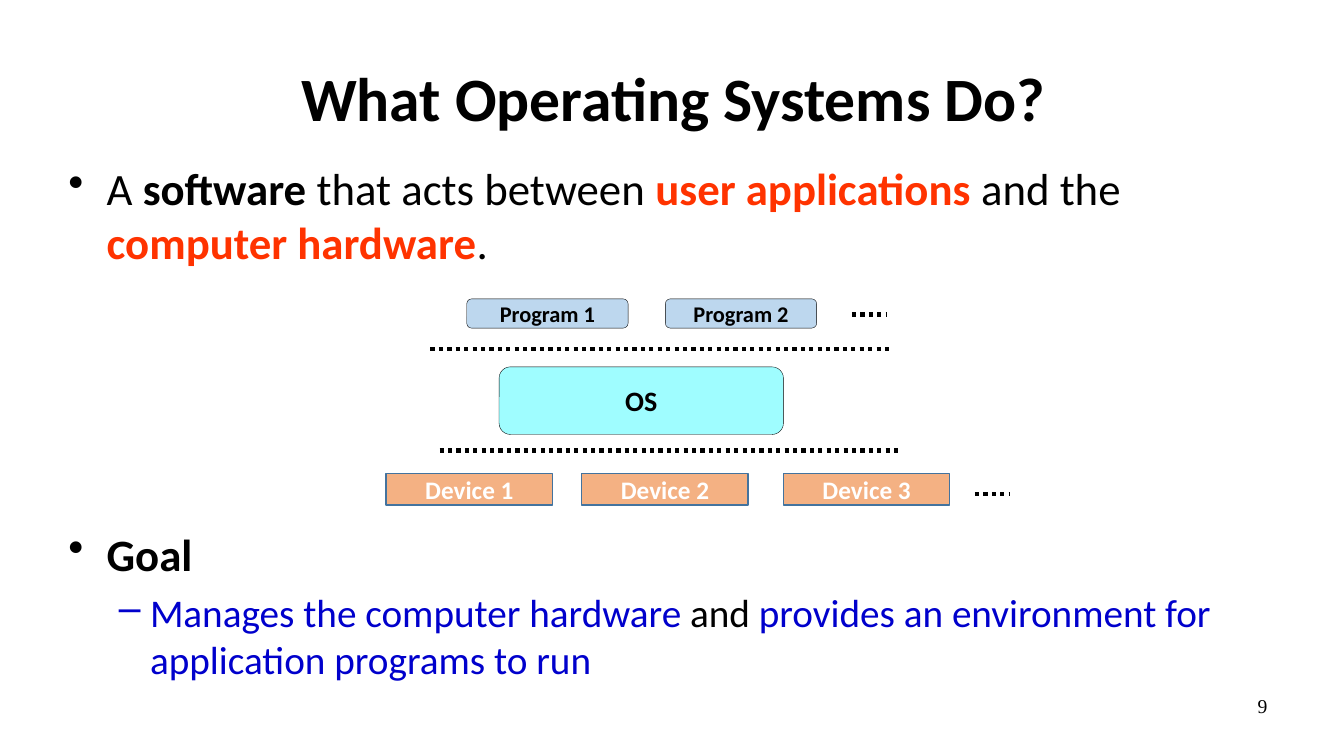
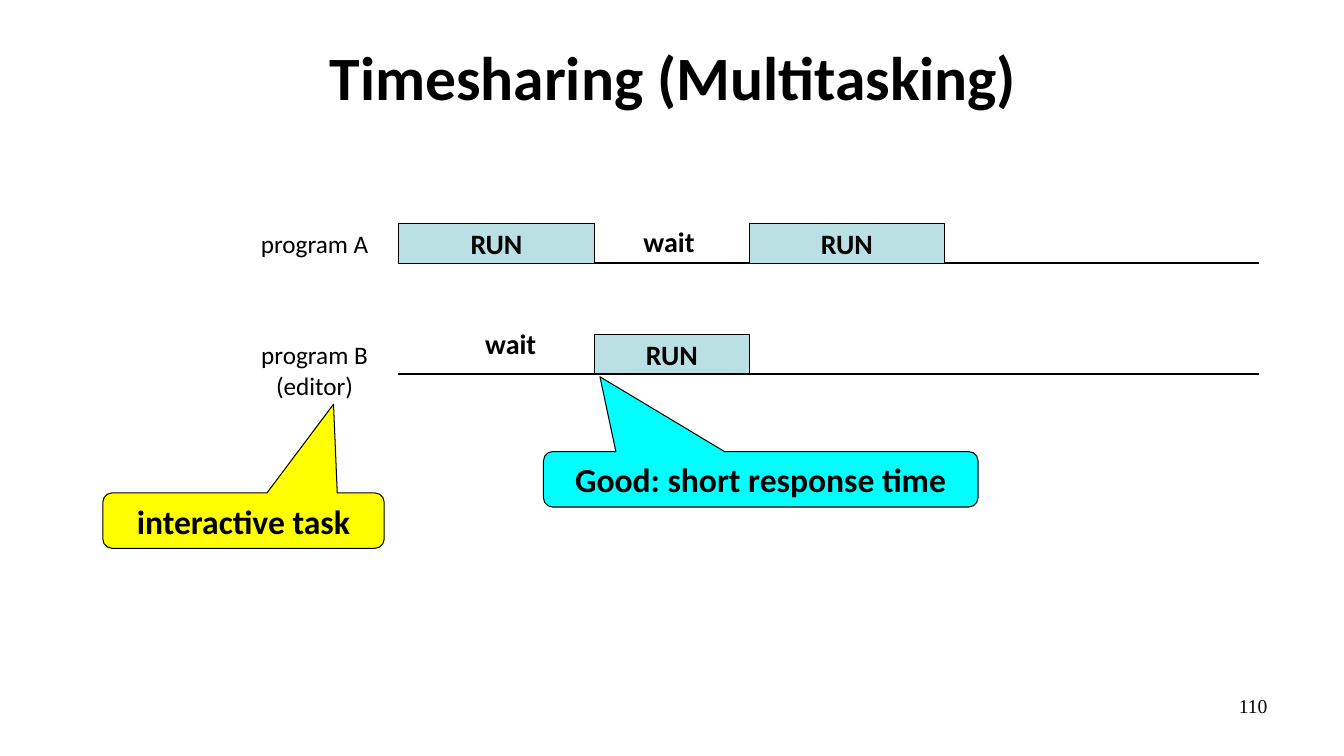
from typing import NamedTuple

from lxml.etree import SubElement
from pptx import Presentation
from pptx.dml.color import RGBColor
from pptx.enum.dml import MSO_LINE as Dash
from pptx.enum.shapes import MSO_CONNECTOR as Conn, MSO_SHAPE as Kind
from pptx.enum.text import MSO_ANCHOR as Anchor, MSO_AUTO_SIZE as Fit, PP_ALIGN as Align
from pptx.oxml.ns import qn
from pptx.shapes.base import BaseShape
from pptx.slide import Slide
from pptx.text.text import TextFrame
from pptx.util import Inches, Length, Pt

BLACK = RGBColor(0, 0, 0)
WHITE = RGBColor(255, 255, 255)
RED = RGBColor(0xFF, 0x33, 0x00)
BLUE = RGBColor(0x00, 0x00, 0xCC)
SKY = RGBColor(0xBD, 0xD7, 0xEE)
AQUA = RGBColor(0x9F, 0xFD, 0xFF)
PEACH = RGBColor(0xF4, 0xB1, 0x83)
STEEL = RGBColor(0x43, 0x73, 0x9E)
TEAL = RGBColor(0xBB, 0xE0, 0xE3)
YELLOW = RGBColor(255, 255, 0)
CYAN = RGBColor(0, 255, 255)

SANS = "Calibri"
SERIF = "Times New Roman"


class Box(NamedTuple):
    """A place on the grid, whose cells are a tenth of an inch."""
    col: float
    row: float
    wide: float
    high: float


class Look(NamedTuple):
    size: float
    color: RGBColor = BLACK
    bold: bool = True
    font: str = SANS
    align: Align = Align.CENTER


class Skin(NamedTuple):
    kind: Kind
    fill: RGBColor
    edge: RGBColor
    width: float
    look: Look


class Span(NamedTuple):
    text: str
    color: RGBColor = BLACK
    bold: bool = False


class Item(NamedTuple):
    spans: list[Span]
    size: int
    mark: str
    left: float
    hang: float
    level: int = 0
    before: int = 0


class Lane(NamedTuple):
    row: float
    runs: list[tuple[int, int]]


TITLE = Box(6.8, 1.3, 120, 12.5)
BODY = Box(5.8, 15.5, 120, 52)
NUMBER = Box(95.6, 68.3, 31.1, 5.2)

HEAD = Look(44)
FOOT = Look(14, bold=False, font=SERIF, align=Align.RIGHT)
NAME = Look(18, bold=False)
WAIT = Look(20)

PROGRAM = Skin(Kind.ROUNDED_RECTANGLE, SKY, BLACK, 0.25, Look(16))
SYSTEM = Skin(Kind.ROUNDED_RECTANGLE, AQUA, BLACK, 0.25, Look(20))
DEVICE = Skin(Kind.RECTANGLE, PEACH, STEEL, 1, Look(18, WHITE))
RUN = Skin(Kind.RECTANGLE, TEAL, BLACK, 0.75, Look(20))
TASK = Skin(Kind.ROUNDED_RECTANGULAR_CALLOUT, YELLOW, BLACK, 0.75, Look(24))
GOOD = TASK._replace(fill=CYAN)

ITEMS = [
    Item([Span("A "), Span("software", bold=True), Span(" that acts between "),
          Span("user applications", RED, True), Span(" and the "),
          Span("computer hardware", RED, True), Span(".")], 32, "•", 3.8, 3.8),
    Item([Span("Goal", bold=True)], 32, "•", 3.8, 3.8, before=184),
    Item([Span("Manages the computer hardware ", BLUE), Span("and "),
          Span("provides an environment for application programs to run", BLUE)],
         28, "–", 8.1, 3.1, level=1, before=6),
]

# Columns where the processor switches from one program to the other
TIMES = (39.5, 59, 74.3, 93.7)
END = 124.9
BAR = 3.9
LANES = [Lane(26.1, [(0, 1), (2, 3)]), Lane(37.1, [(1, 2)])]


def grid(cells: float) -> Length:
    return Inches(cells / 10)


def place(box: Box) -> list[Length]:
    return [grid(n) for n in box]


def style(frame: TextFrame, look: Look) -> None:
    for para in frame.paragraphs:
        para.alignment = look.align
        for run in para.runs:
            font = run.font
            font.name, font.size, font.bold = look.font, Pt(look.size), look.bold
            font.color.rgb = look.color


def label(slide: Slide, box: Box, text: str, look: Look, wrap: bool = False) -> None:
    frame = slide.shapes.add_textbox(*place(box)).text_frame
    frame.word_wrap = wrap
    frame.text = text
    style(frame, look)


def block(slide: Slide, box: Box, text: str, skin: Skin) -> BaseShape:
    shape = slide.shapes.add_shape(skin.kind, *place(box))
    shape.shadow.inherit = False
    shape.fill.solid()
    shape.fill.fore_color.rgb = skin.fill
    shape.line.color.rgb = skin.edge
    shape.line.width = Pt(skin.width)
    frame = shape.text_frame
    frame.vertical_anchor = Anchor.MIDDLE
    frame.text = text
    style(frame, skin.look)
    return shape


def callout(slide: Slide, box: Box, text: str, skin: Skin, tip: tuple[float, float]) -> None:
    """Draw a balloon whose tip is given in shares of its size from its centre."""
    shape = block(slide, box, text, skin)
    for i, share in enumerate(tip):
        shape.adjustments[i] = share


def rule(slide: Slide, row: float, start: float, end: float, dots: bool = False) -> None:
    """Draw a level line, thin and solid or thick and dotted."""
    ends = [grid(n) for n in (start, row, end, row)]
    line = slide.shapes.add_connector(Conn.STRAIGHT, *ends)
    line.line.color.rgb = BLACK
    line.line.width = Pt(3 if dots else 1)
    if dots:
        line.line.dash_style = Dash.ROUND_DOT
    SubElement(line._element.spPr, qn("a:effectLst"))


def bullets(slide: Slide, box: Box, items: list[Item]) -> None:
    frame = slide.shapes.add_textbox(*place(box)).text_frame
    frame.word_wrap = True
    for i, item in enumerate(items):
        para = frame.add_paragraph() if i else frame.paragraphs[0]
        para.level = item.level
        props = para._p.get_or_add_pPr()
        props.set("marL", str(grid(item.left)))
        props.set("indent", str(-grid(item.hang)))
        SubElement(props, qn("a:buChar"), char=item.mark)
        para.space_before = Pt(item.before)
        para.font.size = Pt(item.size)
        for span in item.spans:
            run = para.add_run()
            run.text = span.text
            font = run.font
            font.name, font.size, font.bold = SANS, Pt(item.size), span.bold
            font.color.rgb = span.color


def start(deck: Presentation, title: str, number: int, anchor: Anchor) -> Slide:
    """Add a slide with its title and number."""
    slide = deck.slides.add_slide(deck.slide_layouts.get_by_name("Title Only"))
    head = slide.shapes.title
    head.left, head.top, head.width, head.height = place(TITLE)
    frame = head.text_frame
    frame.text = title
    frame.auto_size = Fit.NONE
    frame.vertical_anchor = anchor
    style(frame, HEAD)
    label(slide, NUMBER, str(number), FOOT, wrap=True)
    return slide


def layers(deck: Presentation) -> None:
    slide = start(deck, "What Operating Systems Do?", 9, Anchor.BOTTOM)
    bullets(slide, BODY, ITEMS)
    for row, left, right in ((34.6, 42.7, 88.6), (31.2, 84.5, 88),
                             (44.7, 43.6, 89.5), (49, 96.7, 100.1)):
        rule(slide, row, left, right, dots=True)
    for i, (col, wide) in enumerate(((46.3, 16), (66, 15)), 1):
        block(slide, Box(col, 29.65, wide, 2.9), f"Program {i}", PROGRAM)
    block(slide, Box(49.5, 36.4, 28.2, 6.7), "OS", SYSTEM)
    for i, col in enumerate((38.3, 57.7, 77.7), 1):
        block(slide, Box(col, 47, 16.5, 3.1), f"Device {i}", DEVICE)


def sharing(deck: Presentation) -> None:
    slide = start(deck, "Timesharing (Multitasking)", 110, Anchor.MIDDLE)
    for lane in LANES:
        rule(slide, lane.row, TIMES[0], END)
        for a, b in lane.runs:
            bar = Box(TIMES[a], lane.row - BAR, TIMES[b] - TIMES[a], BAR)
            block(slide, bar, "RUN", RUN)
    label(slide, Box(24.3, 22.2, 13.8, 4), "program A", NAME)
    label(slide, Box(24.3, 33.2, 13.8, 7), "program B\n(editor)", NAME)
    for col, row in ((46.9, 31.9), (62.6, 21.8)):
        label(slide, Box(col, row, 7.5, 4.3), "wait", WAIT)
    callout(slide, Box(10.2, 48.9, 27.9, 5.5), "interactive task", TASK, (0.32, -2.1))
    callout(slide, Box(53.9, 44.8, 43.1, 5.5), "Good: short response time", GOOD, (-0.37, -1.85))


def main() -> None:
    deck = Presentation()
    deck.slide_width, deck.slide_height = Inches(13.33), Inches(7.5)
    layers(deck)
    sharing(deck)
    deck.save("out.pptx")


if __name__ == "__main__":
    main()
